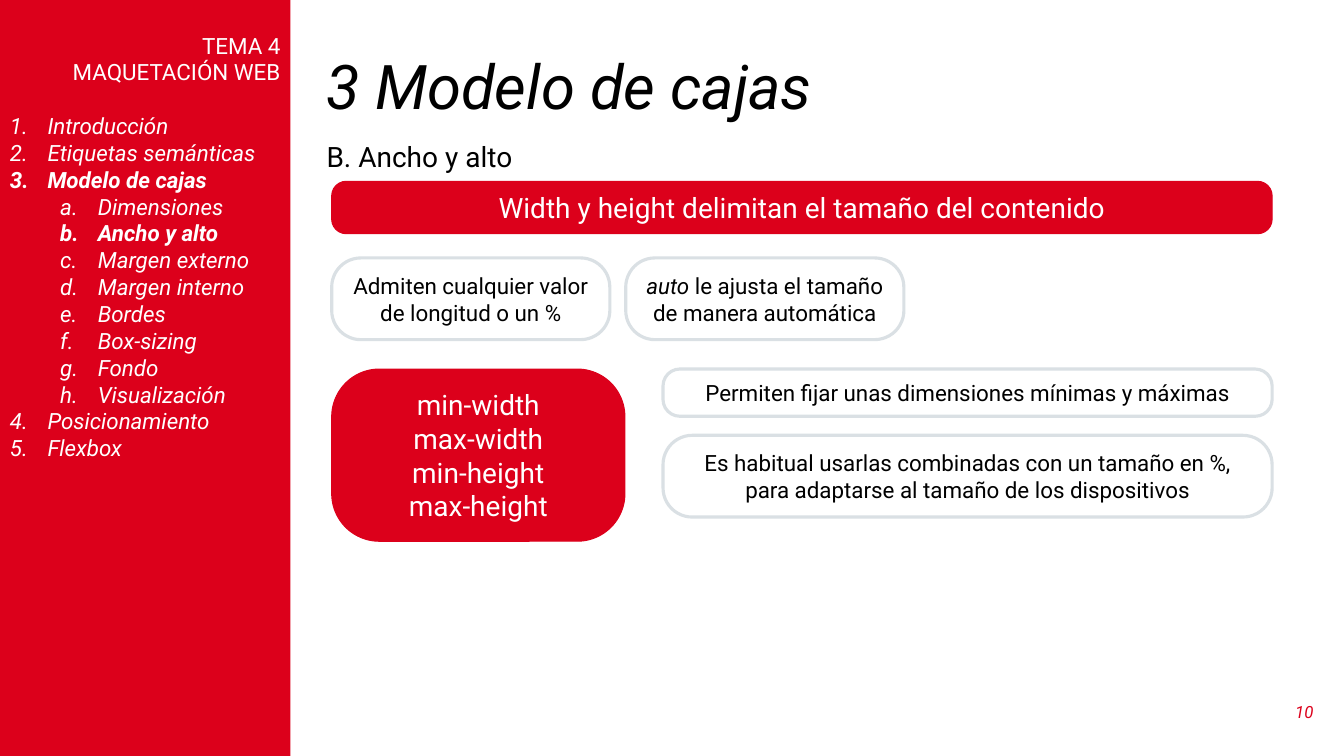
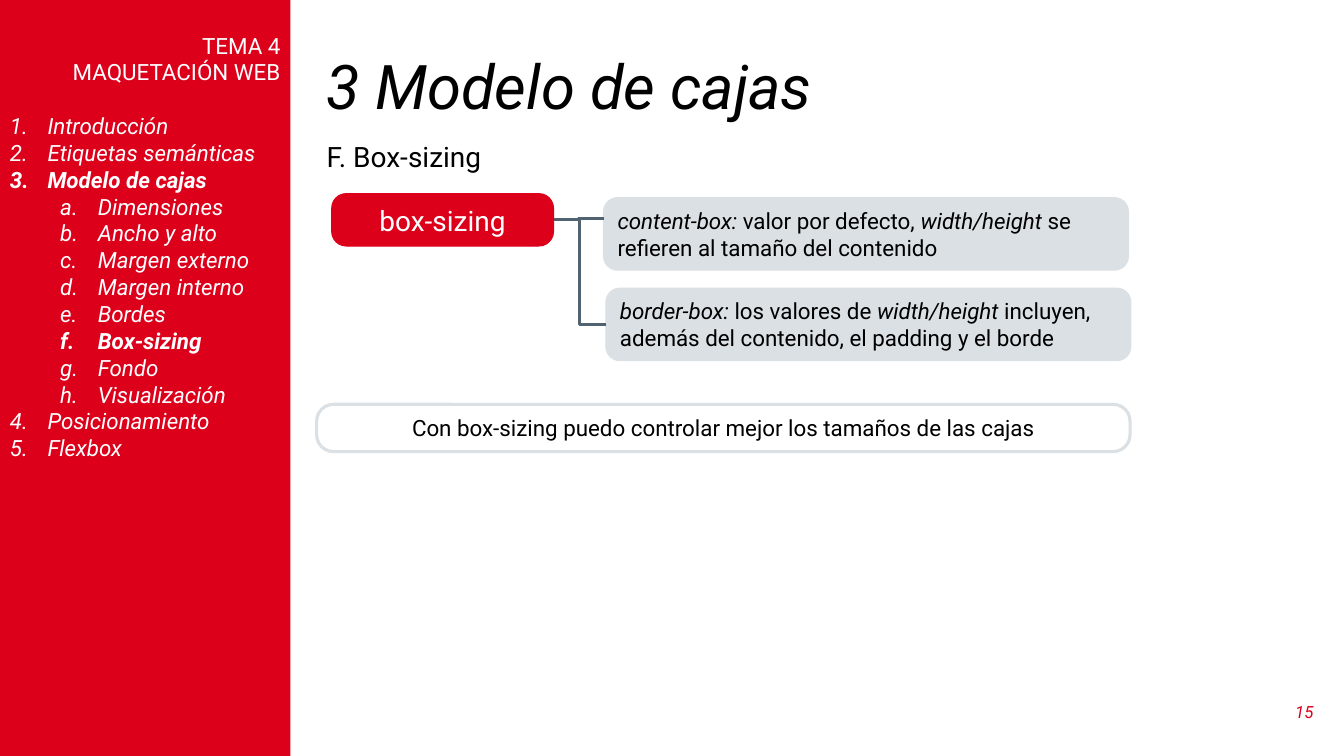
import pptx
import pptx.dml.color
import pptx.enum.shapes
import pptx.enum.text
import pptx.oxml
import pptx.oxml.ns
import pptx.util
import lxml.etree

Cm = pptx.util.Cm
Pt = pptx.util.Pt
SHAPES = pptx.enum.shapes.MSO_SHAPE
ALIGN = pptx.enum.text.PP_ALIGN
ANCHOR = pptx.enum.text.MSO_ANCHOR

FONT = "Roboto"
RED, GRAY, SLATE = "DC001B", "DAE0E4", "516270"
BLACK, WHITE = "000000", "FFFFFF"

SIDEBAR = (0, 0, 7.32, 19.05)
TITLE = (7.98, 1.27, 25.37, 1.98)
SUBTITLE = (7.98, 3.38, 18.95, 1.12)
BODY = (8.36, 4.57, 23.7, 12.5)
NUMBER = (32.05, 17.42, 1.3, 1.02)

TOPICS = [
    ("Introducción", []),
    ("Etiquetas semánticas", []),
    ("Modelo de cajas", [
        "Dimensiones", "Ancho y alto", "Margen externo", "Margen interno",
        "Bordes", "Box-sizing", "Fondo", "Visualización",
    ]),
    ("Posicionamiento", []),
    ("Flexbox", []),
]


def rgb(code):
    return pptx.dml.color.RGBColor.from_string(code)


def write_para(para, text, size=16, color=BLACK, bold=False, align=ALIGN.LEFT):
    para.alignment = align
    for index, part in enumerate(text.split("*")):
        if part:
            span = para.add_run()
            span.text = part
            span.font.name = FONT
            span.font.size = Pt(size)
            span.font.color.rgb = rgb(color)
            span.font.bold = bold
            span.font.italic = index % 2 == 1


def write(shape, text, anchor=ANCHOR.MIDDLE, spacing=None, **style):
    frame = shape.text_frame
    frame.word_wrap = True
    frame.vertical_anchor = anchor
    for index, line in enumerate(text.split("\n")):
        para = frame.add_paragraph() if index else frame.paragraphs[0]
        para.line_spacing = spacing
        write_para(para, line, **style)


def add_label(page, box, text, **style):
    label = page.shapes.add_textbox(*map(Cm, box))
    write(label, text, **style)


def add_panel(page, kind, box, fill=None, line=None, line_width=0.75):
    panel = page.shapes.add_shape(kind, *map(Cm, box))
    panel.shadow.inherit = False
    if fill:
        panel.fill.solid()
        panel.fill.fore_color.rgb = rgb(fill)
    else:
        panel.fill.background()
    if line:
        panel.line.color.rgb = rgb(line)
        panel.line.width = Pt(line_width)
    else:
        panel.line.fill.background()
    return panel


def add_rounded(page, box, text, radius, fill=None, line=None, line_width=0.75, **style):
    panel = add_panel(page, SHAPES.ROUNDED_RECTANGLE, box, fill, line, line_width)
    panel.adjustments[0] = radius
    write(panel, text, **style)


def add_key(page, box, text):
    add_rounded(page, box, text, 0.277, fill=RED, line=RED,
                size=20, color=WHITE, align=ALIGN.CENTER)


def add_note(page, box, text):
    add_rounded(page, box, text, 0.357, line=GRAY, line_width=2.25, align=ALIGN.CENTER)


def add_definition(page, box, text):
    add_rounded(page, box, text, 0.195, fill=GRAY, line=GRAY)


def add_elbow(page, start, end):
    elbow = page.shapes.add_connector(
        pptx.enum.shapes.MSO_CONNECTOR.ELBOW, *map(Cm, start + end))
    elbow.line.color.rgb = rgb(SLATE)
    elbow.line.width = Pt(2.25)
    lxml.etree.SubElement(elbow._element.spPr, pptx.oxml.ns.qn("a:effectLst"))


def number_para(para, level):
    para.level = level
    properties = para._p.get_or_add_pPr()
    properties.set("marL", str(Cm(0.95 + 1.27 * level)))
    properties.set("indent", str(Cm(-0.95)))
    numbering = lxml.etree.SubElement(properties, pptx.oxml.ns.qn("a:buAutoNum"))
    numbering.set("type", "alphaLcPeriod" if level else "arabicPeriod")


def draw_sidebar(page, box, current):
    panel = add_panel(page, SHAPES.RECTANGLE, box, fill=RED)
    frame = panel.text_frame
    frame.margin_top = Cm(0.8)
    write(panel, "TEMA 4\nMAQUETACIÓN WEB", anchor=ANCHOR.TOP,
          color=WHITE, align=ALIGN.RIGHT)
    entries = []
    for topic, sections in TOPICS:
        entries.append((topic, 0, current in sections))
        entries += [(section, 1, section == current) for section in sections]
    for index, (text, level, bold) in enumerate(entries):
        para = frame.add_paragraph()
        if index == 0:
            para.space_before = Pt(19)
        number_para(para, level)
        write_para(para, f"*{text}*", color=WHITE, bold=bold)


def draw_dimensions(page, box):
    left, top, width, _ = box
    add_key(page, (left, top, width, 1.32),
            "Width y height delimitan el tamaño del contenido")
    notes = ["Admiten cualquier valor de longitud o un %",
             "*auto *le ajusta el tamaño de manera automática"]
    for index, text in enumerate(notes):
        add_note(page, (left + 7.41 * index, top + 1.93, 7.01, 2.06), text)
    limits_top = top + 4.73
    add_key(page, (left, limits_top, 7.39, 4.34),
            "min-width\nmax-width\nmin-height\nmax-height")
    notes_left, notes_width = left + 8.35, width - 8.35
    add_note(page, (notes_left, limits_top, notes_width, 1.19),
             "Permiten fijar unas dimensiones mínimas y máximas")
    add_note(page, (notes_left, limits_top + 1.67, notes_width, 2.06),
             "Es habitual usarlas combinadas con un tamaño en %, "
             "para adaptarse al tamaño de los dispositivos")


def draw_box_sizing(page, box):
    left, top, _, _ = box
    start = (left + 5.59, top + 0.97)
    definitions = [
        ("*content-box: *valor por defecto, *width/height *se refieren "
         "al tamaño del contenido", 0.53),
        ("*border-box: *los valores de *width/height *incluyen, además "
         "del contenido, el padding y el borde", 0.92),
    ]
    for index, (text, entry) in enumerate(definitions):
        value_left = left + 6.85 + 0.06 * index
        value_top = top + 0.41 + 2.28 * index
        add_definition(page, (value_left, value_top, 13.23, 1.83), text)
        add_elbow(page, start, (value_left, value_top + entry))
    add_key(page, (left, top + 0.31, 5.59, 1.32), "box-sizing")
    add_note(page, (left - 0.38, top + 5.62, 20.5, 1.19),
             "Con box-sizing puedo controlar mejor los tamaños de las cajas")


def add_page(deck, subtitle, current, number, draw_body):
    page = deck.slides.add_slide(deck.slide_layouts[6])
    add_label(page, TITLE, "*3 Modelo de cajas*", size=44, spacing=0.9)
    draw_sidebar(page, SIDEBAR, current)
    add_label(page, NUMBER, f"*{number}*", size=12, color=RED, align=ALIGN.RIGHT)
    add_label(page, SUBTITLE, subtitle, size=20, anchor=ANCHOR.TOP)
    draw_body(page, BODY)


def main():
    deck = pptx.Presentation()
    deck.slide_width, deck.slide_height = Cm(33.87), Cm(19.05)
    add_page(deck, "B. Ancho y alto", "Ancho y alto", 10, draw_dimensions)
    add_page(deck, "F. Box-sizing", "Box-sizing", 15, draw_box_sizing)
    deck.save("out.pptx")


if __name__ == "__main__":
    main()
